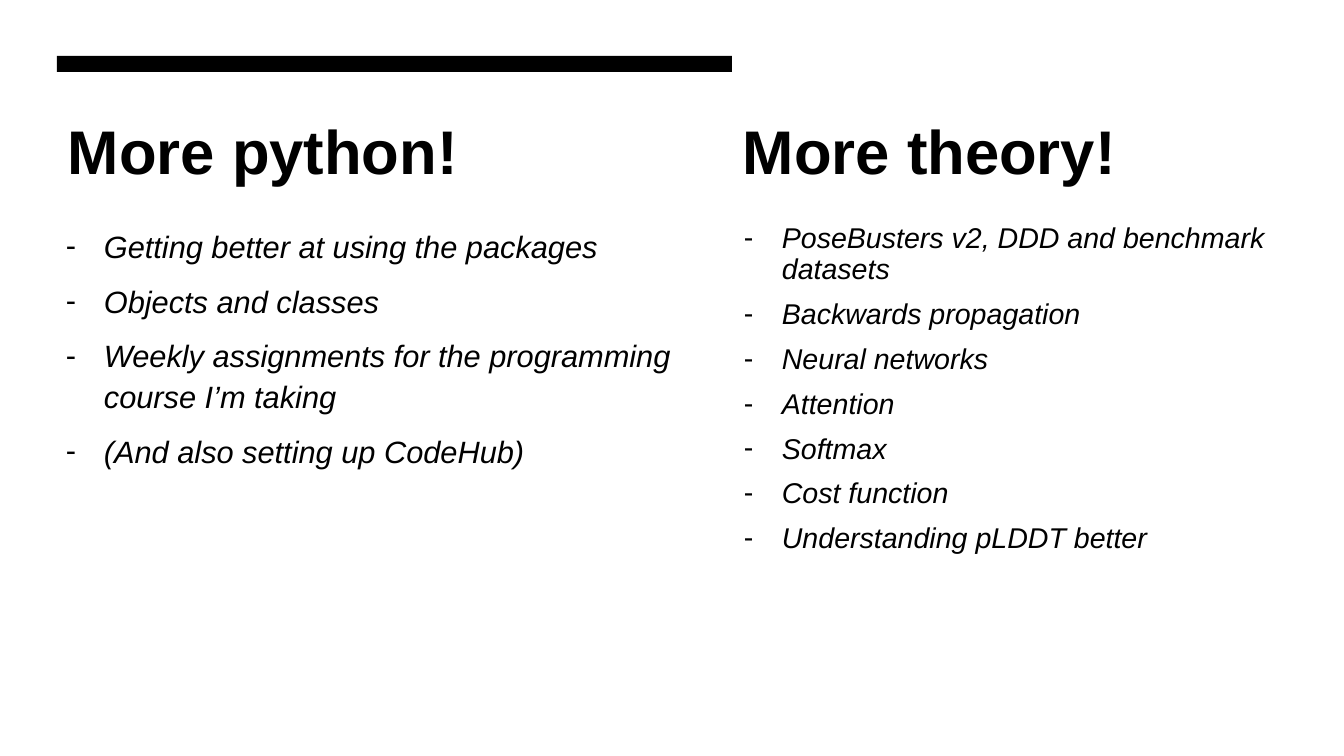
from pptx import Presentation
from pptx.dml.color import RGBColor
from pptx.enum.shapes import MSO_SHAPE
from pptx.enum.text import MSO_ANCHOR
from pptx.oxml.ns import qn
from pptx.util import Emu, Pt
from lxml.etree import SubElement

PX = 9071
PAGE_SIZE = (1344, 756)
INK = "000000"
PAPER = "FFFFFF"
INDENT = 38
HEADING = {"name": "Arial", "size": Pt(44), "bold": True}
PYTHON_ITEM = {"name": "Arial", "size": Pt(22), "italic": True}
THEORY_ITEM = {"name": "Arial", "size": Pt(20.4), "italic": True}
PYTHON_GOALS = [
    "Getting better at using the packages",
    "Objects and classes",
    "Weekly assignments for the programming course I’m taking",
    "(And also setting up CodeHub)",
]
THEORY_GOALS = [
    "PoseBusters v2, DDD and benchmark datasets",
    "Backwards propagation",
    "Neural networks",
    "Attention",
    "Softmax",
    "Cost function",
    "Understanding pLDDT better",
]


def px(*lengths):
    """Turn pixel lengths into EMU."""
    return [Emu(length * PX) for length in lengths]


def color(value):
    """Turn a hex string into a colour."""
    return RGBColor.from_string(value)


def add_block(page, area, fill):
    """Draw a solid rectangle without an outline."""
    block = page.shapes.add_shape(MSO_SHAPE.RECTANGLE, *px(*area))
    block.shadow.inherit = False
    block.fill.solid()
    block.fill.fore_color.rgb = color(fill)
    block.line.fill.background()


def add_dash(para):
    """Give a paragraph a hanging dash."""
    properties = para._p.get_or_add_pPr()
    properties.set("marL", str(INDENT * PX))
    properties.set("indent", str(-INDENT * PX))
    SubElement(properties, qn("a:buFont"), typeface="Arial")
    SubElement(properties, qn("a:buChar"), char="-")


def add_text(page, area, lines, style, spacing, dashed=False):
    """Add a text box with one paragraph for each line."""
    frame = page.shapes.add_textbox(*px(*area)).text_frame
    frame.word_wrap = True
    frame.vertical_anchor = MSO_ANCHOR.TOP
    for index, line in enumerate(lines):
        para = frame.paragraphs[0] if index == 0 else frame.add_paragraph()
        para.line_spacing = spacing
        if index:
            para.space_before = Pt(10)
        if dashed:
            add_dash(para)
        span = para.add_run()
        span.text = line
        for name, value in style.items():
            setattr(span.font, name, value)
        span.font.color.rgb = color(INK)


def main():
    """Build the slide and save it."""
    deck = Presentation()
    deck.slide_width, deck.slide_height = px(*PAGE_SIZE)
    page = deck.slides.add_slide(deck.slide_layouts[6])
    add_block(page, (0, 0, *PAGE_SIZE), PAPER)
    add_text(page, (58, 108, 674, 112), ["More python!"], HEADING, 1.0)
    add_text(page, (56, 219, 677, 318), PYTHON_GOALS, PYTHON_ITEM, 1.1, True)
    add_block(page, (57, 56, 675, 16), INK)
    add_text(page, (733, 108, 674, 112), ["More theory!"], HEADING, 1.0)
    add_text(page, (734, 219, 610, 358), THEORY_GOALS, THEORY_ITEM, 0.9, True)
    deck.save("out.pptx")


if __name__ == "__main__":
    main()
